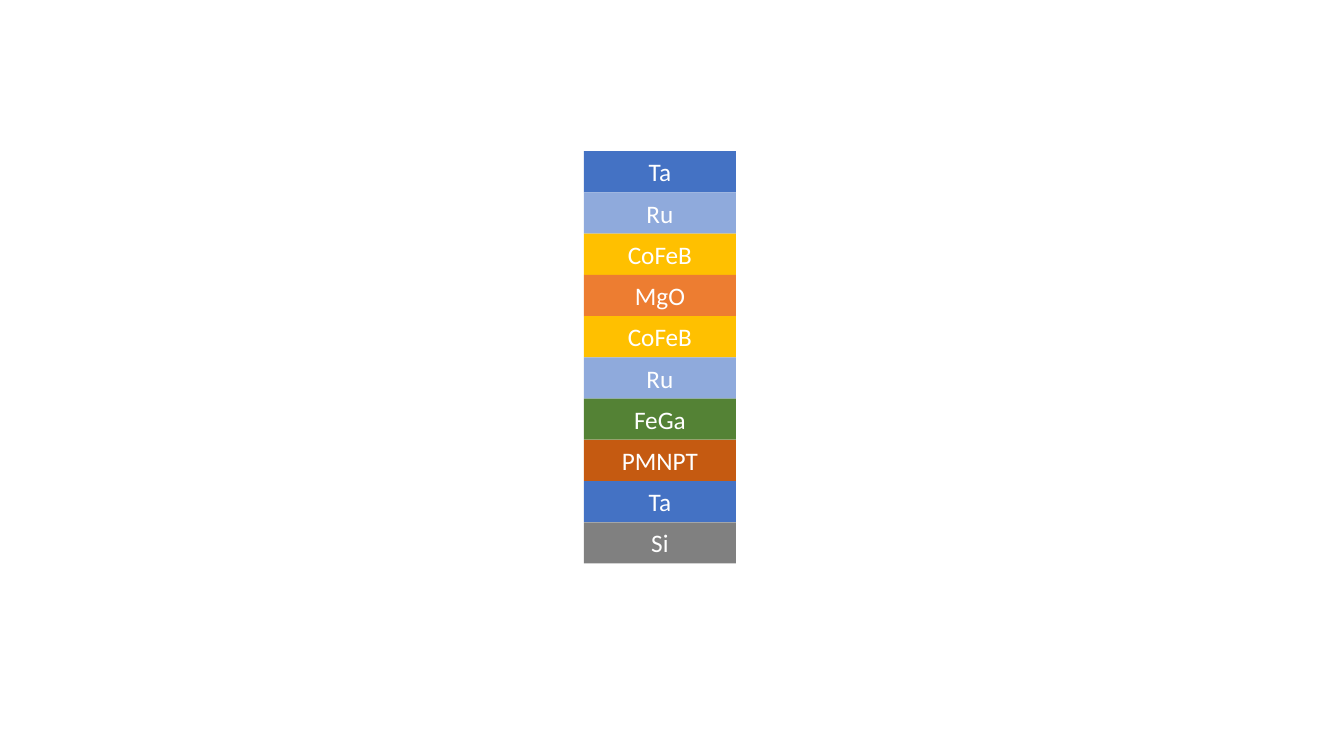
from pptx import Presentation
from pptx.dml.color import RGBColor
from pptx.enum import shapes, text
from pptx.util import Inches, Pt

WHITE = RGBColor(0xFF, 0xFF, 0xFF)
BLUE = RGBColor(0x44, 0x72, 0xC4)
LIGHT_BLUE = RGBColor(0x8F, 0xAA, 0xDC)
GOLD = RGBColor(0xFF, 0xC0, 0x00)
ORANGE = RGBColor(0xED, 0x7D, 0x31)
GREEN = RGBColor(0x54, 0x82, 0x35)
RUST = RGBColor(0xC5, 0x5A, 0x11)
GRAY = RGBColor(0x80, 0x80, 0x80)

# Film stack from the top layer down to the substrate
LAYERS = [
    ("Ta", BLUE),
    ("Ru", LIGHT_BLUE),
    ("CoFeB", GOLD),
    ("MgO", ORANGE),
    ("CoFeB", GOLD),
    ("Ru", LIGHT_BLUE),
    ("FeGa", GREEN),
    ("PMNPT", RUST),
    ("Ta", BLUE),
    ("Si", GRAY),
]
LEFT, TOP, WIDTH = Inches(5.79), Inches(1.5), Inches(1.51)
STACK_HEIGHT = Inches(4.09)

prs = Presentation()
prs.slide_width, prs.slide_height = Inches(13.33), Inches(7.5)
s = prs.slides.add_slide(prs.slide_layouts[6])

stack = s.shapes.add_group_shape()
layer_height = STACK_HEIGHT / len(LAYERS)
for i, (material, color) in enumerate(LAYERS):
    sp = stack.shapes.add_shape(shapes.MSO_SHAPE.RECTANGLE, LEFT,
                                round(TOP + i * layer_height), WIDTH,
                                round(layer_height))
    sp.shadow.inherit = False
    sp.fill.solid()
    sp.fill.fore_color.rgb = color
    sp.line.fill.background()
    tf = sp.text_frame
    tf.text = material
    tf.vertical_anchor = text.MSO_ANCHOR.MIDDLE
    p = tf.paragraphs[0]
    p.alignment = text.PP_ALIGN.CENTER
    r = p.runs[0]
    r.font.name = "Calibri"
    r.font.size = Pt(18)
    r.font.color.rgb = WHITE

prs.save("out.pptx")
